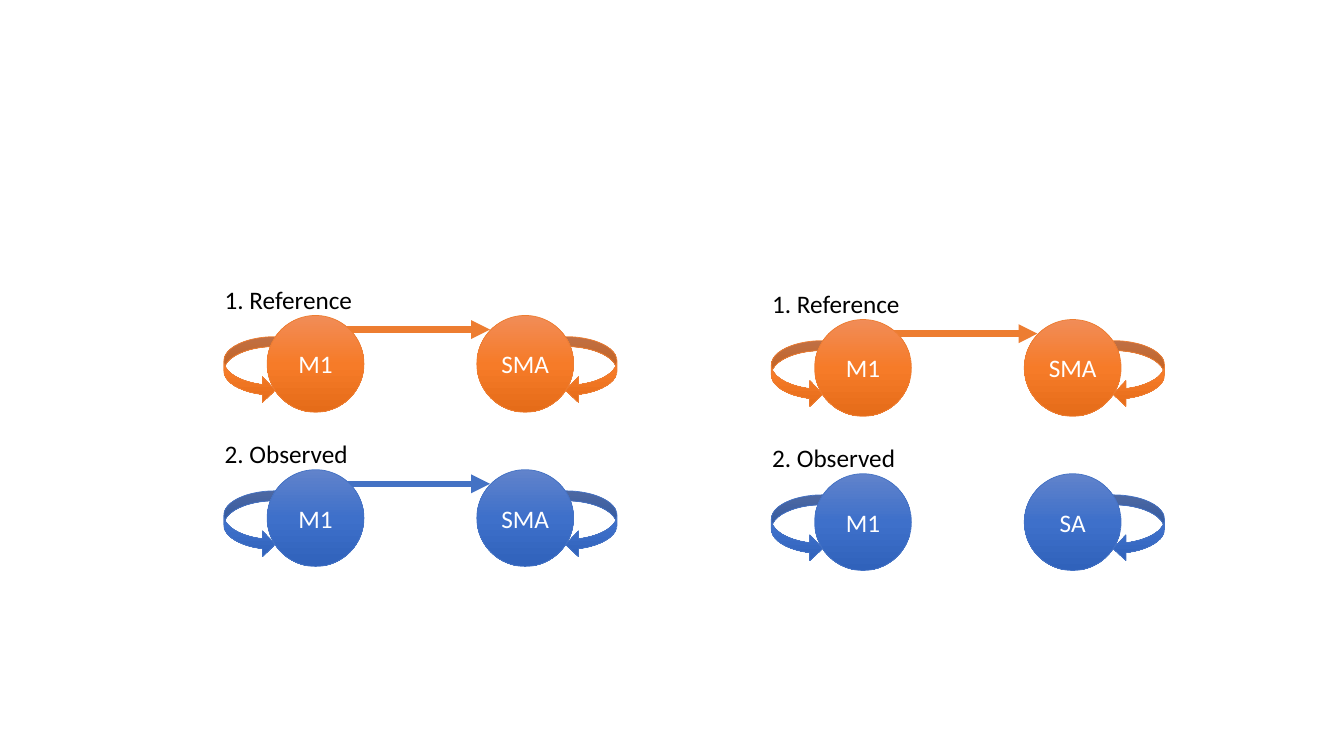
from copy import deepcopy

from lxml import etree
from pptx import Presentation
from pptx.dml.color import RGBColor
from pptx.enum.shapes import MSO_CONNECTOR, MSO_SHAPE
from pptx.enum.text import MSO_ANCHOR, MSO_AUTO_SIZE, PP_ALIGN
from pptx.oxml.ns import qn
from pptx.util import Inches, Pt

CIRCLE, LOOP = MSO_SHAPE.OVAL, MSO_SHAPE.CURVED_RIGHT_ARROW
STRAIGHT = MSO_CONNECTOR.STRAIGHT
LEFT, CENTER = PP_ALIGN.LEFT, PP_ALIGN.CENTER
MIDDLE = MSO_ANCHOR.MIDDLE
FIT_SHAPE = MSO_AUTO_SIZE.SHAPE_TO_FIT_TEXT

# line colour, then gradient from top to bottom
ORANGE = ("ED7D31", ("F18C57", "F67B28", "E56C19"))
BLUE = ("4472C4", ("6183CB", "3E70CA", "3062BB"))

PANEL_W, ROW_H = 3.9, 1.53
NODE_D, NODE_INSET = 0.96, 0.43
LOOP_W, LOOP_H, LOOP_DROP = 0.51, 0.66, 0.21

REFERENCE = ("1. Reference", ORANGE, ("M1", "SMA"), True)
PANELS = [
    (2.22, 3.13, [REFERENCE, ("2. Observed", BLUE, ("M1", "SMA"), True)]),
    (7.65, 3.17, [REFERENCE, ("2. Observed", BLUE, ("M1", "SA"), False)]),
]


def rgb(value):
    return RGBColor.from_string(value)


def write(tf, text, color="000000", size=18, font="Calibri", align=LEFT):
    p = tf.paragraphs[0]
    p.alignment = align
    r = p.add_run()
    r.text = text
    r.font.size, r.font.name = Pt(size), font
    r.font.color.rgb = rgb(color)


def fill_gradient(sp, colors):
    """Fill a shape with three evenly spaced colours, running downwards."""
    sp.fill.gradient()
    sp.fill.gradient_angle = 270
    first = sp._element.spPr.find(".//" + qn("a:gs"))
    first.addnext(deepcopy(first))
    for i, (stop, color) in enumerate(zip(sp.fill.gradient_stops, colors)):
        stop.position = i / 2
        stop.color.rgb = rgb(color)


def add_shaded(shapes, kind, x, y, w, h, palette, flip=False):
    line, colors = palette
    sp = shapes.add_shape(kind, Inches(x), Inches(y), Inches(w), Inches(h))
    sp.shadow.inherit = False
    fill_gradient(sp, colors)
    sp.line.color.rgb = rgb(line)
    sp.line.width = Pt(0.5)
    if flip:
        sp._element.spPr.find(qn("a:xfrm")).set("flipH", "1")
    return sp


def add_loop(shapes, x, y, palette, flip):
    sp = add_shaded(shapes, LOOP, x, y, LOOP_W, LOOP_H, palette, flip)
    for i, value in enumerate((0.193, 0.5, 0.25)):
        sp.adjustments[i] = value


def add_node(shapes, x, y, text, palette, flip):
    sp = add_shaded(shapes, CIRCLE, x, y, NODE_D, NODE_D, palette, flip)
    sp.text_frame.vertical_anchor = MIDDLE
    write(sp.text_frame, text, color="FFFFFF", align=CENTER)


def add_arrow(shapes, x1, x2, y, color):
    line = shapes.add_connector(STRAIGHT, Inches(x1), Inches(y),
                                Inches(x2), Inches(y))
    line.line.color.rgb = rgb(color)
    line.line.width = Pt(4.5)
    etree.SubElement(line.line._get_or_add_ln(), qn("a:tailEnd"), type="triangle")
    etree.SubElement(line._element.spPr, qn("a:effectLst"))


def add_label(shapes, x, y, text):
    box = shapes.add_textbox(Inches(x), Inches(y), Inches(1.48), Inches(0.4))
    box.text_frame.word_wrap = False
    box.text_frame.auto_size = FIT_SHAPE
    write(box.text_frame, text)


def add_network(shapes, x, y, label, palette, names, linked):
    """Draw two self-looping nodes under a label, with an arrow if linked."""
    if linked:
        add_arrow(shapes, x + 1.2, x + 2.64, y + 0.14, palette[0])
    loop_xs = (x, x + PANEL_W - LOOP_W)
    node_xs = (x + NODE_INSET, x + PANEL_W - NODE_INSET - NODE_D)
    for name, loop_x, node_x, flip in zip(names, loop_xs, node_xs, (False, True)):
        add_loop(shapes, loop_x, y + LOOP_DROP, palette, flip)
        add_node(shapes, node_x, y, name, palette, flip)
    add_label(shapes, x - 0.09, y - 0.36, label)


def main():
    prs = Presentation()
    prs.slide_width, prs.slide_height = Inches(13.33), Inches(7.5)
    slide = prs.slides.add_slide(prs.slide_layouts[6])
    for x, y, networks in PANELS:
        group = slide.shapes.add_group_shape()
        for row, network in enumerate(networks):
            add_network(group.shapes, x, y + row * ROW_H, *network)
    prs.save("out.pptx")


if __name__ == "__main__":
    main()
